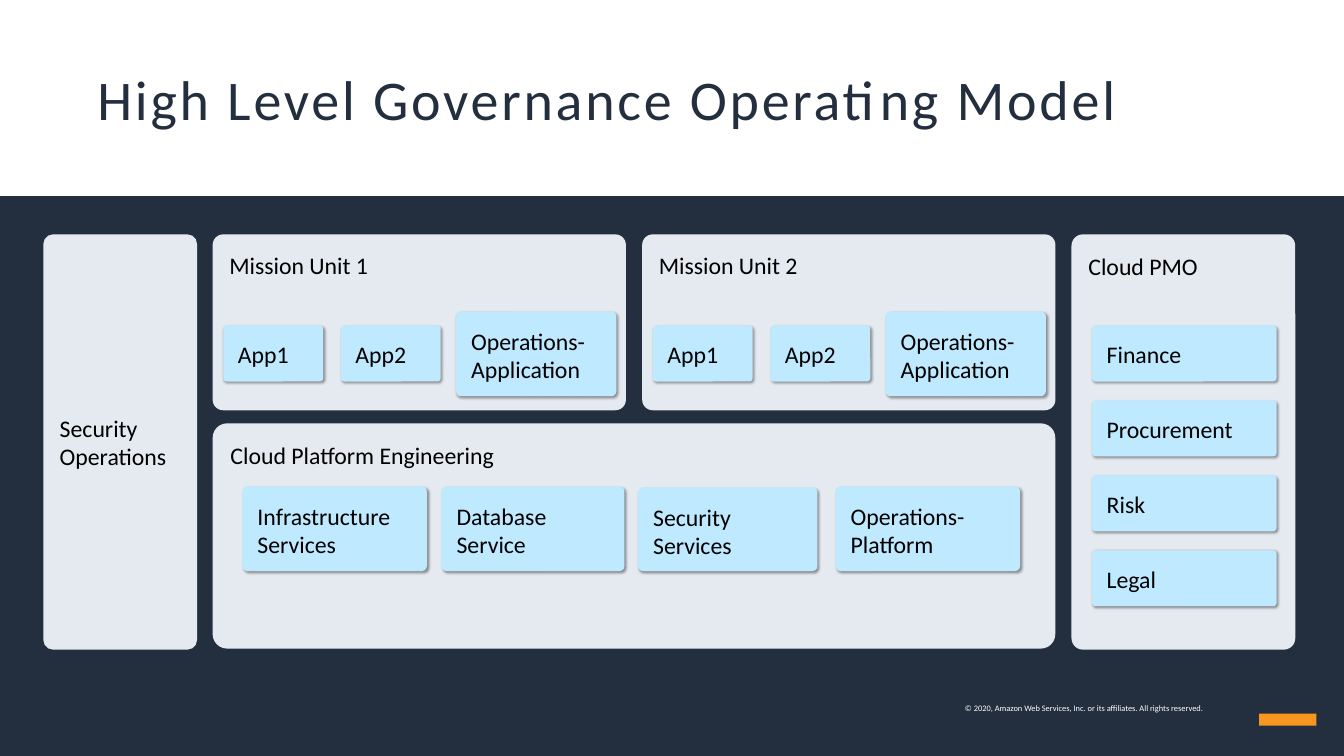
from lxml import etree
from pptx import Presentation
from pptx import util as u
from pptx.dml.color import RGBColor
from pptx.enum import shapes, text
from pptx.oxml import ns

COLORS = {
    "background": "232F3E",
    "band": "FFFFFF",
    "panel": "E5EAF0",
    "card": "BFE9FF",
    "shadow": "000000",
    "body": "000000",
    "title": "232F3E",
    "footer": "FFFFFF",
    "mark": "F79720",
}
FONT = "Calibri"
INSET = 19.4
PANEL_TOP = 334.8
SIDE_HEIGHT = 593.3
CARD_TOP = 465.1
CARD_HEIGHT = 79.9
TALL_CARD_HEIGHT = 121
WIDE_CARD = 263.5


def paint(fill, color):
    fill.solid()
    fill.fore_color.rgb = RGBColor.from_string(COLORS[color])


def place(shape, left, top, width, height):
    shape.left, shape.top = u.Pt(left), u.Pt(top)
    shape.width, shape.height = u.Pt(width), u.Pt(height)


def write(shape, lines, size, color, inset=0, anchor=text.MSO_ANCHOR.TOP,
          align=text.PP_ALIGN.LEFT):
    """Fill the shape with one paragraph per line."""
    frame = shape.text_frame
    frame.word_wrap = True
    frame.vertical_anchor = anchor
    frame.margin_left = frame.margin_right = u.Pt(inset)
    frame.margin_top = frame.margin_bottom = u.Pt(inset)
    for index, line in enumerate(lines):
        paragraph = frame.add_paragraph() if index else frame.paragraphs[0]
        paragraph.alignment = align
        run = paragraph.add_run()
        run.text = line
        run.font.name = FONT
        run.font.size = u.Pt(size)
        run.font.color.rgb = RGBColor.from_string(COLORS[color])


def add_plain_shape(slide, kind, box, color):
    shape = slide.shapes.add_shape(kind, *(u.Pt(length) for length in box))
    shape.shadow.inherit = False
    paint(shape.fill, color)
    shape.line.fill.background()
    return shape


def add_panel(slide, box, lines, radius=0.06, anchor=text.MSO_ANCHOR.TOP,
              color="panel"):
    """Add a rounded box with a label."""
    shape = add_plain_shape(slide, shapes.MSO_SHAPE.ROUNDED_RECTANGLE, box, color)
    shape.adjustments[0] = radius
    write(shape, lines, 34, "body", INSET, anchor)
    return shape


def add_card(slide, box, *lines):
    """Add a light blue box with a drop shadow."""
    card = add_panel(slide, box, lines, color="card")
    effects = card.element.spPr.find(ns.qn("a:effectLst"))
    shadow = etree.SubElement(
        effects, ns.qn("a:outerShdw"), blurRad=str(u.Pt(4)),
        dist=str(u.Pt(3)), dir="2700000", algn="tl", rotWithShape="0")
    color = etree.SubElement(shadow, ns.qn("a:srgbClr"), val=COLORS["shadow"])
    etree.SubElement(color, ns.qn("a:alpha"), val="40000")


def add_title(slide, wording):
    title = slide.shapes.title
    place(title, 139, 35.3, 1642.3, 208.8)
    write(title, [wording], 80, "title", anchor=text.MSO_ANCHOR.MIDDLE)
    title.text_frame.auto_size = text.MSO_AUTO_SIZE.NONE
    for run in title.text_frame.paragraphs[0].runs:
        run.font._element.set("spc", "400")
    # Bring the title in front of the white band
    title.element.getparent().append(title.element)


def add_mission_unit(slide, number):
    shift = (number - 1) * 613.6
    add_panel(slide, (303.8 + shift, PANEL_TOP, 590.4, 251.3),
              [f"Mission Unit {number}"])
    for index, name in enumerate(("App1", "App2")):
        add_card(slide, (319 + shift + index * 168, CARD_TOP, 142.6, CARD_HEIGHT), name)
    add_card(slide, (651.6 + shift, 445, 229, TALL_CARD_HEIGHT),
             "Operations-Application")


def add_platform(slide):
    add_panel(slide, (303.8, 604.8, 1203.8, 321.8),
              ["Cloud Platform Engineering"], 0.064)
    bottom = 815.8
    services = [
        (346.3, WIDE_CARD, TALL_CARD_HEIGHT, ["Infrastructure", "Services"]),
        (630.7, 261.4, TALL_CARD_HEIGHT, ["Database Service"]),
        (911.5, 256.3, 119.5, ["Security", "Services"]),
        (1193.8, WIDE_CARD, TALL_CARD_HEIGHT, ["Operations- Platform"]),
    ]
    for left, width, height, lines in services:
        add_card(slide, (left, bottom - height, width, height), *lines)


def add_pmo(slide):
    add_panel(slide, (1530.7, PANEL_TOP, 319.7, SIDE_HEIGHT), ["Cloud PMO"], 0.051)
    for index, name in enumerate(("Finance", "Procurement", "Risk", "Legal")):
        add_card(slide, (1560.2, CARD_TOP + index * 107, WIDE_CARD, CARD_HEIGHT), name)


def add_footer(slide):
    box = slide.shapes.add_textbox(
        u.Pt(779), u.Pt(1004.4), u.Pt(940.3), u.Pt(14.4))
    write(box, ["© 2020, Amazon Web Services, Inc. or its affiliates. "
                "All rights reserved."],
          12, "footer", align=text.PP_ALIGN.RIGHT)
    box.text_frame.auto_size = text.MSO_AUTO_SIZE.SHAPE_TO_FIT_TEXT
    add_plain_shape(slide, shapes.MSO_SHAPE.RECTANGLE, (1798.6, 1019.5, 82, 17), "mark")


def main():
    presentation = Presentation()
    presentation.slide_width, presentation.slide_height = u.Pt(1920), u.Pt(1080)
    slide = presentation.slides.add_slide(presentation.slide_layouts[5])
    paint(slide.background.fill, "background")
    add_plain_shape(slide, shapes.MSO_SHAPE.RECTANGLE, (0, 0, 1920, 280), "band")
    add_title(slide, "High Level Governance Operating Model")
    add_panel(slide, (61.9, PANEL_TOP, 219.6, SIDE_HEIGHT),
              ["Security", "Operations"], 0.063, text.MSO_ANCHOR.MIDDLE)
    for number in (1, 2):
        add_mission_unit(slide, number)
    add_platform(slide)
    add_pmo(slide)
    add_footer(slide)
    presentation.save("out.pptx")


if __name__ == "__main__":
    main()
